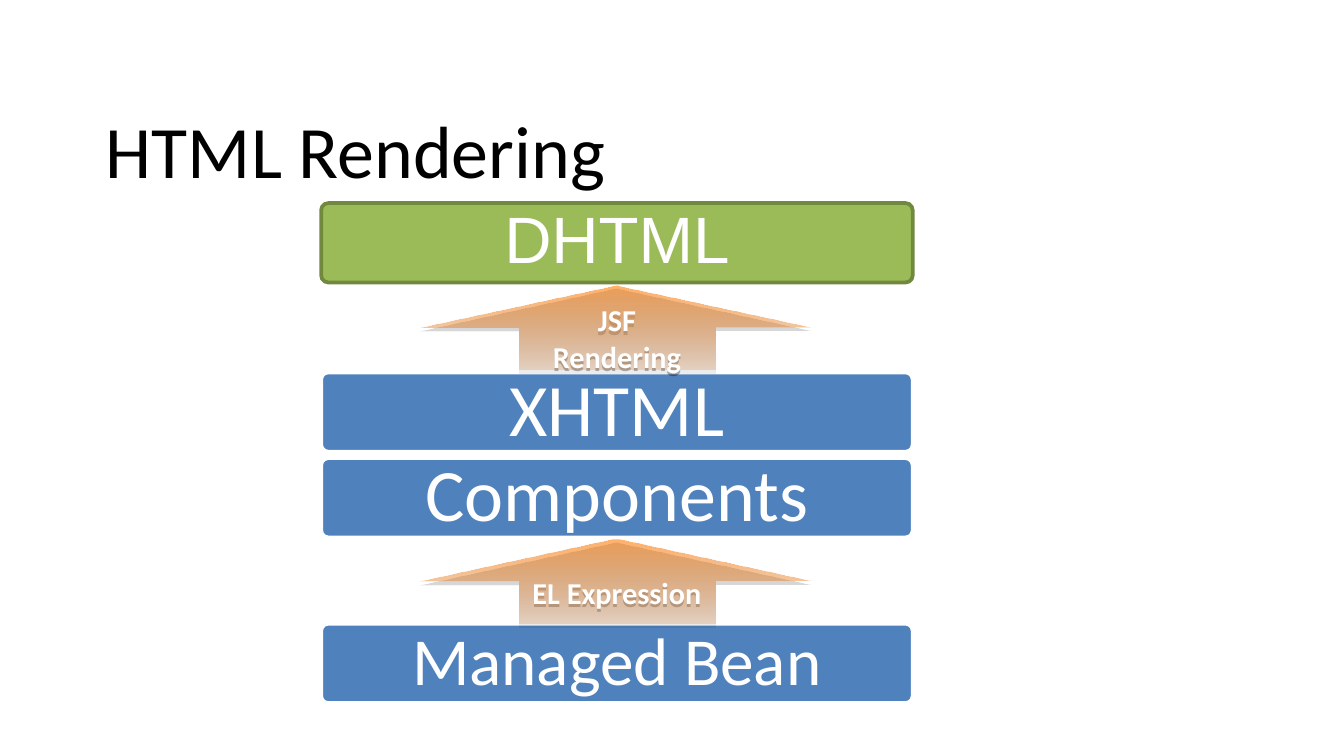
from lxml import etree
from pptx import Presentation
from pptx.dml.color import RGBColor
from pptx.enum.shapes import MSO_SHAPE
from pptx.enum.text import MSO_ANCHOR, MSO_AUTO_SIZE, PP_ALIGN
from pptx.oxml.ns import qn
from pptx.util import Cm, Pt

BAR = MSO_SHAPE.ROUNDED_RECTANGLE
ARROW = MSO_SHAPE.UP_ARROW
MIDDLE, BOTTOM = MSO_ANCHOR.MIDDLE, MSO_ANCHOR.BOTTOM
LEFT, CENTER = PP_ALIGN.LEFT, PP_ALIGN.CENTER
NO_AUTOFIT = MSO_AUTO_SIZE.NONE
WHITE, BLACK, BLUE = "FFFFFF", "000000", "4F81BD"
GREEN, DARK_GREEN = "9BBB59", "71893F"
ARROW_STOPS = [("CB6C1D", 20), ("FF8F2A", 70)]


def rgb(hex_code):
    """Turn a hex string into a colour."""
    return RGBColor.from_string(hex_code)


def write(shape, text, size, color, font="Calibri", bold=False,
          align=CENTER, anchor=MIDDLE, insets=(0.25, 0.1), spacing=None):
    """Write one formatted line of text into a shape."""
    frame = shape.text_frame
    frame.auto_size = NO_AUTOFIT
    frame.word_wrap = True
    frame.vertical_anchor = anchor
    frame.margin_left = frame.margin_right = Cm(insets[0])
    frame.margin_top = frame.margin_bottom = Cm(insets[1])
    paragraph = frame.paragraphs[0]
    paragraph.alignment = align
    if spacing:
        paragraph.line_spacing = spacing
    run = paragraph.add_run()
    run.text = text
    run.font.name, run.font.size, run.font.bold = font, Pt(size), bold
    run.font.color.rgb = rgb(color)


def add_title(slide, text, left, top, width, height):
    """Place the slide title in its box."""
    title = slide.shapes.title
    title.left, title.top = Cm(left), Cm(top)
    title.width, title.height = Cm(width), Cm(height)
    write(title, text, 39.6, BLACK, align=LEFT, anchor=BOTTOM,
          insets=(0.25, 0), spacing=0.9)


def add_layer(slide, text, left, top, width, height, size=39.6,
              fill=BLUE, line=WHITE, font="Calibri"):
    """Draw one rounded bar of the rendering stack."""
    layer = slide.shapes.add_shape(BAR, Cm(left), Cm(top), Cm(width), Cm(height))
    layer.shadow.inherit = False
    layer.adjustments[0] = 0.09
    layer.fill.solid()
    layer.fill.fore_color.rgb = rgb(fill)
    layer.line.color.rgb = rgb(line)
    layer.line.width = Pt(2)
    write(layer, text, size, WHITE, font, insets=(0.45, 0.45), spacing=0.9)


def add_step(slide, text, left, top, width, height):
    """Draw a translucent upward arrow that names the step between layers."""
    step = slide.shapes.add_shape(ARROW, Cm(left), Cm(top), Cm(width), Cm(height))
    step.shadow.inherit = False
    step.line.fill.background()
    step.fill.gradient()
    step.fill.gradient_angle = 90
    properties = step._element.spPr
    for stop, (color, _) in zip(step.fill.gradient_stops, ARROW_STOPS):
        stop.color.rgb = rgb(color)
    colors = list(properties.iter(qn("a:srgbClr")))
    for color, (_, opacity) in zip(colors, ARROW_STOPS):
        etree.SubElement(color, qn("a:alpha"), val=str(opacity * 1000))
    shadow = etree.SubElement(
        properties.find(qn("a:effectLst")), qn("a:outerShdw"),
        blurRad="0", dist=str(Pt(1.8)), dir="5400000", rotWithShape="0")
    shade = etree.SubElement(shadow, qn("a:srgbClr"), val=BLACK)
    etree.SubElement(shade, qn("a:alpha"), val="35000")
    write(step, text, 16.2, WHITE, bold=True)


def add_stack(slide, left, top, width):
    """Stack the layers and the steps that lead from one to the next."""
    bar_height, step_width, step_height = 1.5, 7.42, 1.6
    step_left = left + (width - step_width) / 2
    add_layer(slide, "DHTML", left, top, width, bar_height, 35.1,
              GREEN, DARK_GREEN, "Arial")
    add_layer(slide, "XHTML", left, top + 3.2, width, bar_height)
    add_layer(slide, "Managed Bean", left, top + 7.95, width, bar_height, 36)
    for text, offset in [("EL Expression", 6.35), ("JSF Rendering", 1.55)]:
        add_step(slide, text, step_left, top + offset, step_width, step_height)
    add_layer(slide, "Components", left, top + 4.82, width, bar_height)


def main():
    """Build the slide and save it."""
    deck = Presentation()
    deck.slide_width, deck.slide_height = Cm(25.4), Cm(14.29)
    slide = deck.slides.add_slide(deck.slide_layouts[5])
    add_title(slide, "HTML Rendering", 1.75, 0.76, 21.9, 2.92)
    add_stack(slide, 6.07, 3.84, 11.18)
    deck.save("out.pptx")


if __name__ == "__main__":
    main()
